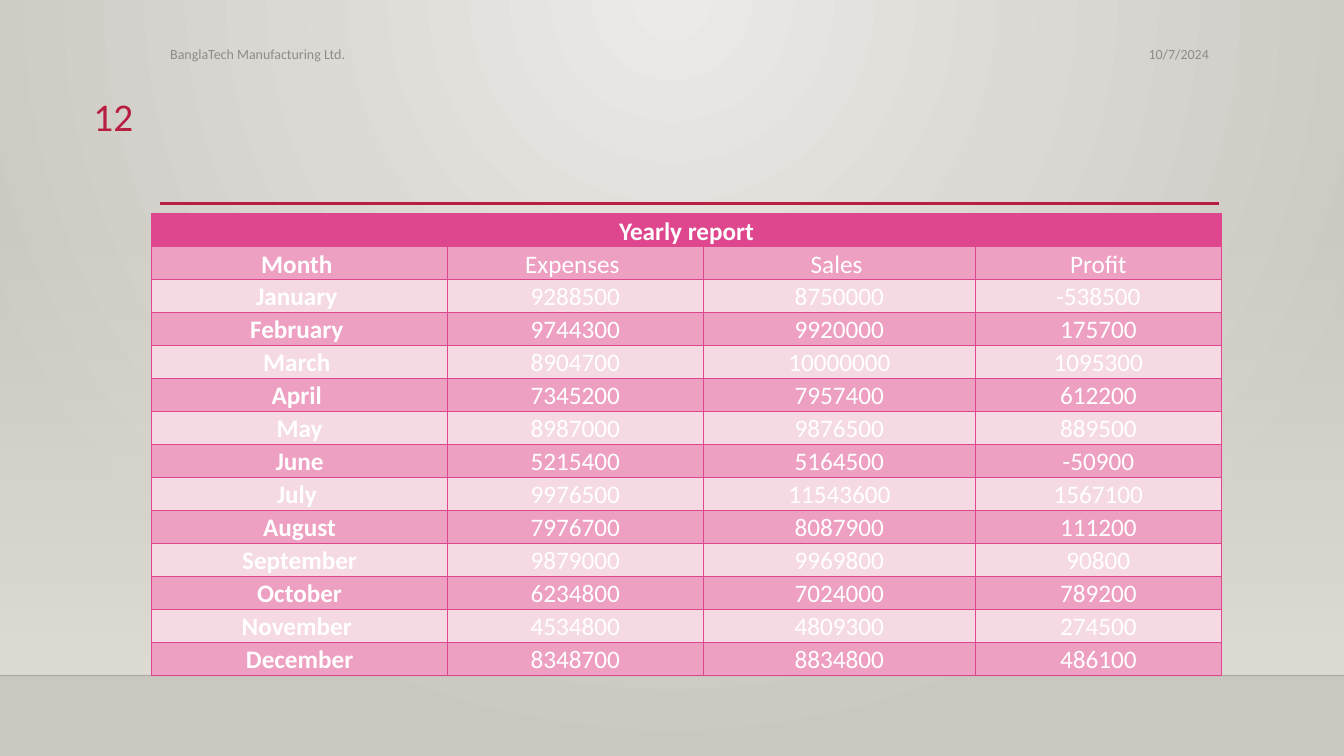
import pptx
import pptx.util
import pptx.dml.color
import pptx.enum.shapes
import pptx.enum.text
import pptx.oxml.ns
import lxml.etree

Pt = pptx.util.Pt
Color = pptx.dml.color.RGBColor.from_string
Align = pptx.enum.text.PP_ALIGN
Anchor = pptx.enum.text.MSO_ANCHOR
Shape = pptx.enum.shapes.MSO_SHAPE
qn = pptx.oxml.ns.qn
sub = lxml.etree.SubElement

theme = {
    "font": "Calibri", "small": 10, "cell": 18, "number": 28,
    "glow": "ECEAE7", "edge": "CAC7C1", "wall": "DFDBD5", "floor": "000001",
    "red": "B71E42", "pink": "DE478E", "rose": "EDA0C1", "pale": "F6DAE3",
    "gray": "8C8C8C", "white": "FFFFFF",
}

deck = pptx.Presentation()
deck.slide_width, deck.slide_height = Pt(960), Pt(540)
slide = deck.slides.add_slide(deck.slide_layouts[6])


def write(frame, text, size, color, align, bold=False):
    para = frame.paragraphs[0]
    para.alignment = align
    run = para.add_run()
    run.text = text
    run.font.name = theme["font"]
    run.font.size = Pt(theme[size])
    run.font.bold = bold
    run.font.color.rgb = Color(theme[color])
    return para


def rule(left, right, y, color, width):
    line = slide.shapes.add_connector(
        pptx.enum.shapes.MSO_CONNECTOR.STRAIGHT, Pt(left), Pt(y), Pt(right), Pt(y))
    line.line.color.rgb = Color(theme[color])
    line.line.width = Pt(width)
    sub(line._element.spPr, qn("a:effectLst"))
    return line


back = slide.background.fill
back.gradient()
for stop, name in zip(back.gradient_stops, ("glow", "edge")):
    stop.color.rgb = Color(theme[name])
grad = slide._element.find(".//" + qn("a:gradFill"))
grad.remove(grad.find(qn("a:lin")))
radial = sub(grad, qn("a:path"), path="circle")
sub(radial, qn("a:fillToRect"), l="43000", t="0", r="43000", b="100000")

wall = slide.shapes.add_shape(Shape.RECTANGLE, 0, Pt(159), Pt(960), Pt(323.5))
wall.shadow.inherit = False
wall.line.fill.background()
wall.fill.gradient()
wall.fill.gradient_angle = 270
for stop in wall.fill.gradient_stops:
    stop.color.rgb = Color(theme["wall"])
clear = wall._element.spPr.find(".//" + qn("a:srgbClr"))
sub(clear, qn("a:alpha"), val="0")

floor = rule(0, 960, 482.5, "floor", 1)
sub(floor._element.spPr.find(".//" + qn("a:srgbClr")), qn("a:alpha"), val="20000")
rule(114.5, 871, 145.4, "red", 2.5)

rows = [
    ("Yearly report", "", "", ""),
    ("Month ", "Expenses ", "Sales ", "Profit"),
    ("January ", "9288500", "8750000", "-538500"),
    ("February ", "9744300", "9920000", "175700"),
    ("March ", "8904700", "10000000", "1095300"),
    ("April ", "7345200", "7957400", "612200"),
    ("May", "8987000", "9876500", "889500"),
    ("June", "5215400", "5164500", "-50900"),
    ("July ", "9976500", "11543600", "1567100"),
    ("August", "7976700", "8087900", "111200"),
    ("September", "9879000", "9969800", "90800"),
    ("October", "6234800", "7024000", "789200"),
    ("November ", "4534800", "4809300", "274500"),
    ("December", "8348700", "8834800", "486100"),
]
widths = (211, 182.8, 194.6, 175.4)
table = slide.shapes.add_table(
    len(rows), len(widths), Pt(108.5), Pt(152.8), Pt(sum(widths)), Pt(21 * len(rows))).table
table.first_row = table.horz_banding = False
for col, width in zip(table.columns, widths):
    col.width = Pt(width)
table.cell(0, 0).merge(table.cell(0, 3))

for r, row in enumerate(rows):
    table.rows[r].height = Pt(21)
    shade = "pink" if r == 0 else "rose" if r % 2 else "pale"
    for c, text in enumerate(row):
        cell = table.cell(r, c)
        cell.margin_left = cell.margin_right = Pt(5)
        cell.margin_top = cell.margin_bottom = 0
        cell.vertical_anchor = Anchor.MIDDLE
        props = cell._tc.get_or_add_tcPr()
        for side in "LRTB":
            thick = 1.25 if r and c == 0 and side == "R" else 0.75
            edge = sub(props, qn("a:ln" + side), w=str(Pt(thick)))
            sub(sub(edge, qn("a:solidFill")), qn("a:srgbClr"), val=theme["pink"])
        cell.fill.solid()
        cell.fill.fore_color.rgb = Color(theme[shade])
        if text:
            para = write(cell.text_frame, text, "cell", "white", Align.CENTER, c == 0)
            para.line_spacing = 1.07

labels = [
    ("10/7/2024", 594.7, 26, 275.8, 24.5, "small", "gray", Align.RIGHT, Anchor.MIDDLE),
    ("BanglaTech Manufacturing Ltd.", 114.5, 26, 467.3, 24.5, "small", "gray",
     Align.LEFT, Anchor.MIDDLE),
    ("12", 38.2, 62.6, 64, 39.6, "number", "red", Align.RIGHT, Anchor.TOP),
]
for text, x, y, w, h, size, color, align, anchor in labels:
    frame = slide.shapes.add_textbox(Pt(x), Pt(y), Pt(w), Pt(h)).text_frame
    frame.word_wrap = True
    frame.vertical_anchor = anchor
    write(frame, text, size, color, align)

deck.save("out.pptx")
